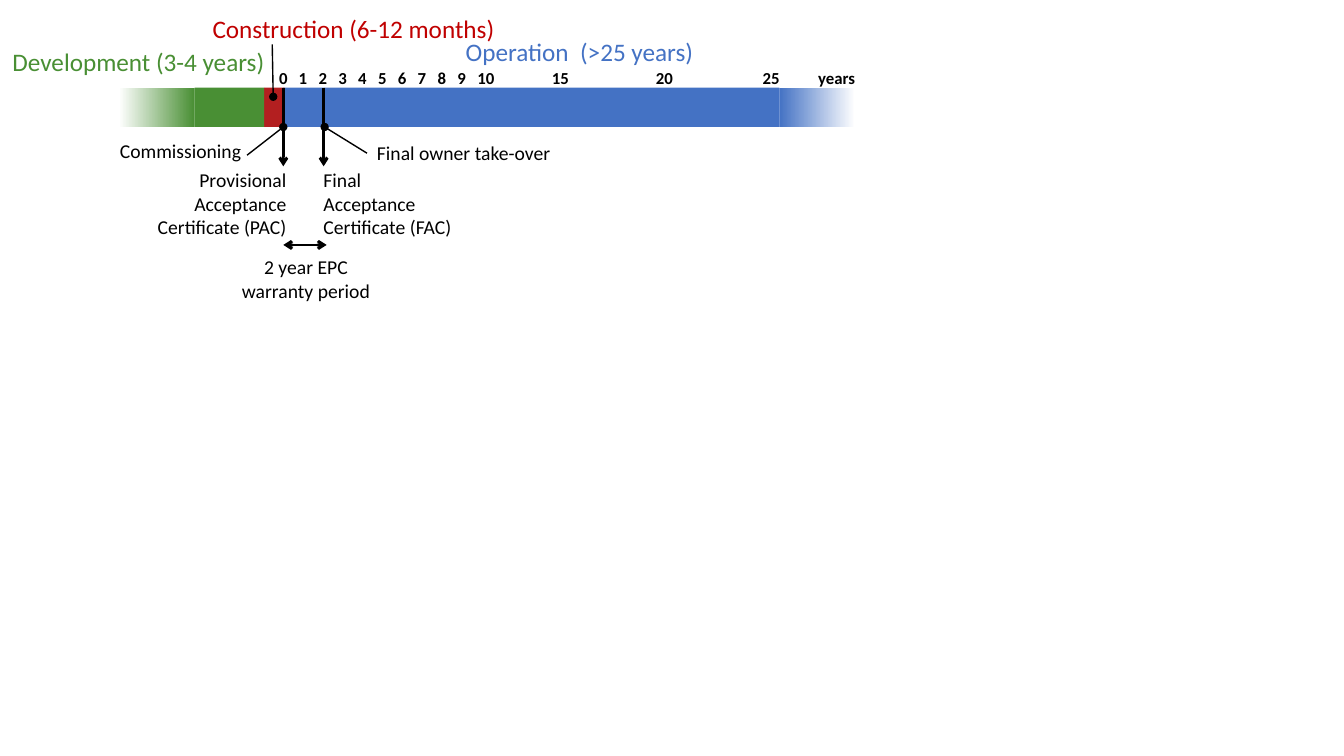
from lxml import etree
from pptx import Presentation
from pptx import util as u
from pptx.dml.color import RGBColor
from pptx.enum import shapes, text
from pptx.oxml.ns import qn

GREEN, RED, BLUE, BLACK, WHITE = "498F34", "B31F20", "4472C4", "000000", "FFFFFF"
TITLE_RED = "C00000"
BAR_TOP, BAR_HEIGHT = 0.87, 0.39
BAR_BOTTOM = BAR_TOP + BAR_HEIGHT
LEFT, CENTER, RIGHT = text.PP_ALIGN.LEFT, text.PP_ALIGN.CENTER, text.PP_ALIGN.RIGHT


def color(value):
    """Turn a hex string into a colour."""
    return RGBColor.from_string(value)


def add_phase(slide, left, width, fill, fade=False, rotation=0):
    """Add one segment of the timeline bar, solid or fading to white."""
    shape = slide.shapes.add_shape(
        shapes.MSO_SHAPE.RECTANGLE, u.Inches(left), u.Inches(BAR_TOP),
        u.Inches(width), u.Inches(BAR_HEIGHT))
    shape.shadow.inherit = False
    shape.line.fill.background()
    shape.rotation = rotation
    if fade:
        shape.fill.gradient()
        shape.fill.gradient_angle = 0
        for stop, position, shade in zip(shape.fill.gradient_stops, (0, 1), (fill, WHITE)):
            stop.position = position
            stop.color.rgb = color(shade)
    else:
        shape.fill.solid()
        shape.fill.fore_color.rgb = color(fill)


def add_label(slide, box, lines, size=14, shade=BLACK, align=LEFT, bold=False, tabs=()):
    """Add a text box with one paragraph per line and optional centred tabs."""
    shape = slide.shapes.add_textbox(*map(u.Inches, box))
    frame = shape.text_frame
    frame.word_wrap = True
    frame.auto_size = text.MSO_AUTO_SIZE.SHAPE_TO_FIT_TEXT
    for index, line in enumerate(lines):
        paragraph = frame.add_paragraph() if index else frame.paragraphs[0]
        paragraph.add_run().text = line
        paragraph.alignment = align
        if tabs:
            tab_list = etree.SubElement(paragraph._p.get_or_add_pPr(), qn("a:tabLst"))
            for tab in tabs:
                etree.SubElement(tab_list, qn("a:tab"), pos=str(u.Inches(tab)), algn="ctr")
        font = paragraph.font
        font.name, font.size, font.bold = "Calibri", u.Pt(size), bold
        font.color.rgb = color(shade)


def add_line(slide, start, end, width, head=None, tail=None):
    """Add a straight black line with optional end markers."""
    connector = slide.shapes.add_connector(
        shapes.MSO_CONNECTOR.STRAIGHT, *map(u.Inches, start + end))
    connector.line.width = u.Pt(width)
    connector.line.color.rgb = color(BLACK)
    outline = connector.line._get_or_add_ln()
    for tag, kind in (("a:headEnd", head), ("a:tailEnd", tail)):
        if kind:
            etree.SubElement(outline, qn(tag), type=kind)
    etree.SubElement(connector._element.spPr, qn("a:effectLst"))


def add_year_scale(slide):
    """Add the year numbers above the bar, aligned by tabs."""
    years = list(range(11)) + [15, 20, 25, "years"]
    tabs = [0.04 + 1.77 * year / 9 for year in range(1, 10)]
    tabs += [2.05, 2.79, 3.82, 4.88, 5.53]
    add_label(slide, (2.67, 0.62, 6.23, 0.3), ["\t".join(map(str, years))],
              size=12, bold=True, tabs=tabs)


def main():
    """Build the project timeline slide."""
    presentation = Presentation()
    presentation.slide_width = u.Inches(13.33)
    presentation.slide_height = u.Inches(7.5)
    slide = presentation.slides.add_slide(presentation.slide_layouts[6])

    add_phase(slide, 2.81, 4.92, BLUE)
    add_phase(slide, 2.62, 0.2, RED)
    add_phase(slide, 1.93, 0.69, GREEN)
    add_phase(slide, 7.73, 0.75, BLUE, fade=True)
    add_phase(slide, 1.18, 0.75, GREEN, fade=True, rotation=180)

    add_label(slide, (0, 0.41, 2.72, 0.4), ["Development (3-4 years)"], 18, GREEN, RIGHT)
    add_label(slide, (2.01, 0.08, 3.26, 0.4), ["Construction (6-12 months)"], 18, TITLE_RED)
    add_label(slide, (4.52, 0.31, 2.89, 0.4), ["Operation  (>25 years)"], 18, BLUE)
    add_label(slide, (1.09, 1.33, 1.86, 0.34), ["Commissioning"])
    add_label(slide, (3.64, 1.35, 2.25, 0.34), ["Final owner take-over"])
    add_label(slide, (1.43, 1.62, 1.51, 0.81),
              ["Provisional Acceptance", "Certificate (PAC)"], align=RIGHT)
    add_label(slide, (3.11, 1.62, 1.51, 0.81), ["Final Acceptance", "Certificate (FAC)"])
    add_label(slide, (2.2, 2.48, 1.67, 0.57), ["2 year EPC warranty period"], align=CENTER)
    add_year_scale(slide)

    add_line(slide, (2.71, 0.96), (2.7, 0.44), 1, head="oval")
    add_line(slide, (2.81, 2.43), (3.24, 2.43), 2, head="arrow", tail="arrow")
    for milestone in (2.81, 3.21):
        add_line(slide, (milestone, BAR_TOP), (milestone, 1.65), 2, tail="arrow")
    add_line(slide, (2.81, BAR_BOTTOM), (2.45, 1.54), 1, head="oval")
    add_line(slide, (3.22, BAR_BOTTOM), (3.64, 1.52), 1, head="oval")

    presentation.save("out.pptx")


if __name__ == "__main__":
    main()
